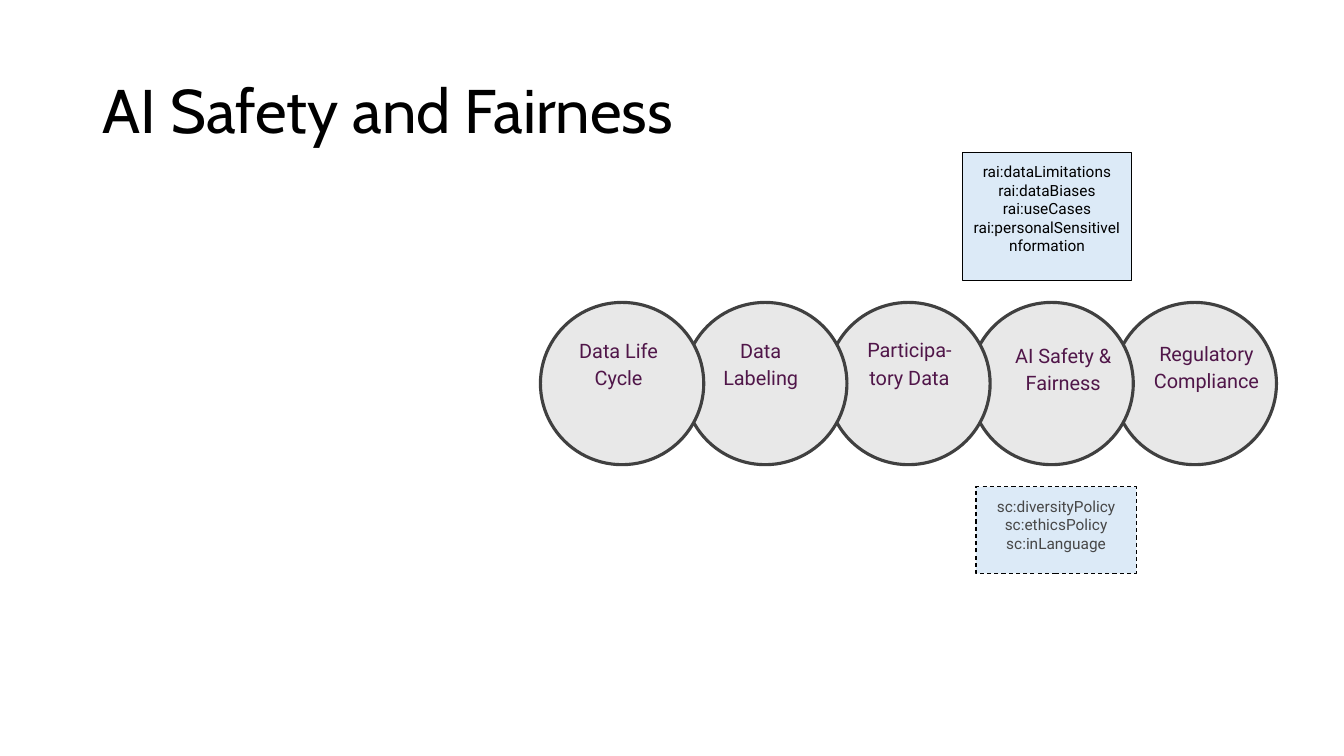
"""Build the AI Safety and Fairness slide with a chain of five data topics."""
from pptx import Presentation
from pptx import util as u
from pptx.dml.color import RGBColor
from pptx.enum import dml, shapes, text

THEME = {
    "title_font": "Cabin", "body_font": "Roboto",
    "title_size": 44, "label_size": 14.2, "property_size": 11,
    "black": RGBColor.from_string("000000"),
    "label": RGBColor.from_string("501649"),
    "muted": RGBColor.from_string("474747"),
    "circle_fill": RGBColor.from_string("E8E8E8"),
    "circle_line": RGBColor.from_string("404040"),
    "box_fill": RGBColor.from_string("DCEAF7"),
}


def style_shape(shape, fill, line, width):
    shape.shadow.inherit = False
    shape.fill.solid()
    shape.fill.fore_color.rgb = fill
    shape.line.color.rgb = line
    shape.line.width = u.Pt(width)


def write_text(shape, lines, font, size, color, align, anchor):
    frame = shape.text_frame
    frame.word_wrap = True
    frame.vertical_anchor = anchor
    frame.margin_left = frame.margin_right = u.Inches(0.1)
    frame.margin_top = frame.margin_bottom = u.Inches(0.1)
    frame.text = "\n".join(lines)
    for paragraph in frame.paragraphs:
        paragraph.alignment = align
        paragraph.font.name = font
        paragraph.font.size = u.Pt(size)
        paragraph.font.color.rgb = color


presentation = Presentation()
presentation.slide_width = u.Inches(13.33)
presentation.slide_height = u.Inches(7.5)
slide = presentation.slides.add_slide(presentation.slide_layouts[5])

title = slide.shapes.title
title.left, title.top = u.Inches(0.92), u.Inches(0.4)
title.width, title.height = u.Inches(11.5), u.Inches(1.45)
write_text(title, ["AI Safety and Fairness"], THEME["title_font"], THEME["title_size"],
           THEME["black"], text.PP_ALIGN.LEFT, text.MSO_ANCHOR.MIDDLE)
title.text_frame.paragraphs[0].line_spacing = 0.9

topics = [
    ("Data Life Cycle", 5.57, 3.37, 1.13, 0.45),
    ("Data Labeling", 6.98, 3.37, 1.13, 0.45),
    ("Participa-tory Data", 8.42, 3.37, 1.2, 0.44),
    ("AI Safety & Fairness", 9.86, 3.31, 1.37, 0.67),
    ("Regulatory Compliance", 11.27, 3.4, 1.39, 0.45),
]
first_left, step = 5.36, 1.42
chain = slide.shapes.add_group_shape()
for index, (topic, *place) in reversed(list(enumerate(topics))):
    circle = chain.shapes.add_shape(
        shapes.MSO_SHAPE.OVAL, u.Inches(first_left + index * step), u.Inches(3),
        u.Inches(1.62), u.Inches(1.61))
    style_shape(circle, THEME["circle_fill"], THEME["circle_line"], 2.25)
    label = chain.shapes.add_textbox(*map(u.Inches, place))
    write_text(label, [topic], THEME["body_font"], THEME["label_size"],
               THEME["label"], text.PP_ALIGN.CENTER, text.MSO_ANCHOR.MIDDLE)
    label.text_frame.paragraphs[0].line_spacing = 1.15
    label.text_frame.paragraphs[0].space_after = u.Pt(6)

property_boxes = [
    (["rai:dataLimitations", "rai:dataBiases", "rai:useCases",
      "rai:personalSensitiveInformation"],
     (9.55, 1.51, 1.67, 1.27), THEME["black"], dml.MSO_LINE.SOLID),
    (["sc:diversityPolicy", "sc:ethicsPolicy", "sc:inLanguage"],
     (9.68, 4.83, 1.59, 0.86), THEME["muted"], dml.MSO_LINE.DASH),
]
for properties, place, color, dash in property_boxes:
    box = slide.shapes.add_shape(shapes.MSO_SHAPE.RECTANGLE, *map(u.Inches, place))
    style_shape(box, THEME["box_fill"], THEME["black"], 0.75)
    box.line.dash_style = dash
    write_text(box, properties, THEME["body_font"], THEME["property_size"],
               color, text.PP_ALIGN.CENTER, text.MSO_ANCHOR.TOP)

presentation.save("out.pptx")
